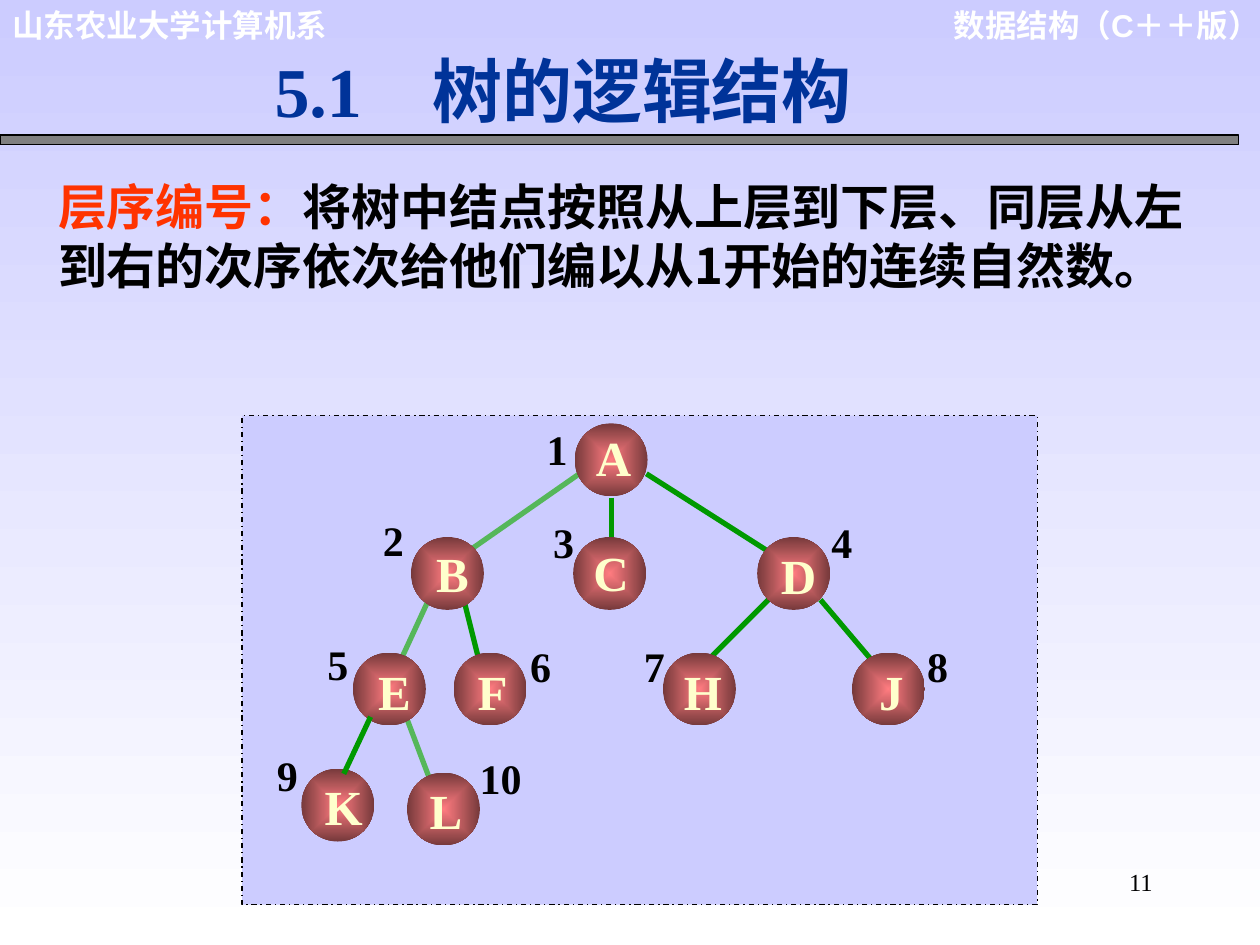
from lxml.etree import SubElement
from pptx import Presentation
from pptx.dml.color import RGBColor
from pptx.enum.dml import MSO_LINE
from pptx.enum.shapes import MSO_CONNECTOR, MSO_SHAPE
from pptx.enum.text import MSO_ANCHOR as Anchor, MSO_AUTO_SIZE as AutoSize, PP_ALIGN as Align
from pptx.oxml import parse_xml
from pptx.oxml.ns import nsdecls, qn
from pptx.util import Cm, Pt

LAVENDER = RGBColor(0xCC, 0xCC, 0xFF)
WHITE = RGBColor(0xFF, 0xFF, 0xFF)
BLACK = RGBColor(0, 0, 0)
GRAY = RGBColor(0x80, 0x80, 0x80)
NAVY = RGBColor(0, 0x33, 0x99)
RED = RGBColor(0xFF, 0x33, 0)
CREAM = RGBColor(0xFF, 0xFF, 0xCC)
PINK = RGBColor(0xFF, 0x7C, 0x80)
MAROON = RGBColor(0x76, 0x39, 0x3B)
GREEN = RGBColor(0, 0x99, 0)
LIGHT_GREEN = RGBColor(0x55, 0xB7, 0x5A)
CJK, SERIF = "Noto Sans CJK SC", "Times New Roman"


def write(box, runs, font_name, size, bold=True, align=Align.LEFT, anchor=Anchor.TOP, wrap=True):
    """Fill a box with one paragraph made of (text, colour) runs."""
    frame = box.text_frame
    frame.auto_size = AutoSize.NONE
    frame.word_wrap = wrap
    frame.vertical_anchor = anchor
    paragraph = frame.paragraphs[0]
    paragraph.alignment = align
    paragraph.space_before = Pt(0)
    for text, color in runs:
        run = paragraph.add_run()
        run.text = text
        for key, value in {"name": font_name, "size": Pt(size), "bold": bold}.items():
            setattr(run.font, key, value)
        run.font.color.rgb = color
        SubElement(run.font._element, qn("a:ea"), typeface=CJK)


def draw_edge(shapes, x1, y1, x2, y2, color):
    edge = shapes.add_connector(MSO_CONNECTOR.STRAIGHT, Cm(x1), Cm(y1), Cm(x2), Cm(y2))
    edge.line.color.rgb = color
    edge.line.width = Pt(3)
    SubElement(edge._element.spPr, qn("a:effectLst"))


prs = Presentation()
prs.slide_width, prs.slide_height = Cm(25.4), Cm(19.05)
slide = prs.slides.add_slide(prs.slide_layouts[1])

backdrop = slide.background.fill
backdrop.gradient()
backdrop.gradient_angle = 270
for stop, color in zip(backdrop.gradient_stops, (LAVENDER, WHITE)):
    stop.color.rgb = color

# Page furniture: course, department, rule and page number
for text, left, top, width, height, font_name, size, bold, color, align in (
    ("数据结构（C＋＋版）", 18.77, 0, 6.88, 1.78, "Arial", 18, True, WHITE, Align.RIGHT),
    ("山东农业大学计算机系", 0, 0, 6.88, 1.02, "Arial", 18, True, WHITE, Align.LEFT),
    ("11", 18.21, 17.35, 5.28, 1.27, SERIF, 14, False, BLACK, Align.RIGHT),
):
    label = slide.shapes.add_textbox(Cm(left), Cm(top), Cm(width), Cm(height))
    write(label, [(text, color)], font_name, size, bold, align)

rule = slide.shapes.add_shape(MSO_SHAPE.RECTANGLE, 0, Cm(2.72), Cm(24.97), Cm(0.2))
tree = slide.shapes.add_group_shape().shapes
frame = tree.add_shape(MSO_SHAPE.RECTANGLE, Cm(4.88), Cm(8.38), Cm(16.03), Cm(9.86))
for panel, color in ((rule, GRAY), (frame, LAVENDER)):
    panel.shadow.inherit = False
    panel.fill.solid()
    panel.fill.fore_color.rgb = color
    panel.line.color.rgb = BLACK
    panel.line.width = Pt(0.75)
frame.line.dash_style = MSO_LINE.DASH_DOT

# Tree edges behind the nodes
for edge in (
    (16.54, 12.09, 17.81, 13.59, GREEN),
    (15.49, 12.09, 14.22, 13.36, GREEN),
    (13.03, 9.55, 15.7, 11.25, GREEN),
    (11.68, 9.55, 9.53, 11.05, LIGHT_GREEN),
    (12.32, 10.03, 12.32, 10.87, GREEN),
    (9.35, 12.09, 9.73, 13.61, GREEN),
    (8.18, 14.43, 8.66, 15.7, LIGHT_GREEN),
    (8.64, 12.09, 8.1, 13.26, LIGHT_GREEN),
):
    draw_edge(tree, *edge)

# Nodes in level order: letter, centre, letter offset, corner of the number
nodes = (
    ("A", 12.32, 9.27, 0.05, -0.06, 10.77, 8.41),
    ("B", 9.02, 11.56, 0.1, -0.02, 7.47, 10.24),
    ("C", 12.29, 11.56, 0.03, -0.04, 10.9, 10.29),
    ("D", 16, 11.56, 0.1, 0.04, 16.51, 10.29),
    ("E", 7.85, 13.89, 0.1, 0.04, 6.35, 12.75),
    ("F", 9.88, 13.89, 0.05, 0.04, 10.44, 12.78),
    ("H", 14.1, 13.89, 0.07, 0.04, 12.73, 12.78),
    ("J", 17.91, 13.89, 0.06, 0.04, 18.44, 12.78),
    ("K", 6.81, 16.23, 0.12, 0.01, 5.33, 14.99),
    ("L", 8.94, 16.31, 0.05, 0.01, 9.42, 15.04),
)
DIAMETER, LETTER_W, LETTER_H = 1.47, 1.2, 1.45
numbering = slide.shapes.add_group_shape().shapes
for number, (letter, x, y, dx, dy, number_x, number_y) in enumerate(nodes, 1):
    node = tree.add_shape(MSO_SHAPE.OVAL, Cm(x - DIAMETER / 2), Cm(y - DIAMETER / 2),
                          Cm(DIAMETER), Cm(DIAMETER))
    node.shadow.inherit = False
    node.line.fill.background()
    node.fill.gradient()
    for stop, color in zip(node.fill.gradient_stops, (PINK, MAROON)):
        stop.color.rgb = color
    linear = node._element.spPr.find(qn("a:gradFill")).find(qn("a:lin"))
    linear.getparent().replace(linear, parse_xml(
        f'<a:path {nsdecls("a")} path="rect">'
        '<a:fillToRect l="50000" t="50000" r="50000" b="50000"/></a:path>'))

    caption = tree.add_textbox(Cm(x + dx - LETTER_W / 2), Cm(y + dy - LETTER_H / 2),
                               Cm(LETTER_W), Cm(LETTER_H))
    write(caption, [(letter, CREAM)], SERIF, 28, align=Align.CENTER,
          anchor=Anchor.MIDDLE, wrap=False)

    order = numbering.add_textbox(Cm(number_x), Cm(number_y),
                                  Cm(0.99 if number < 10 else 1.42), Cm(1.27))
    write(order, [(str(number), BLACK)], SERIF, 24)

# The edge from E to K lies over both nodes
draw_edge(tree, 7.47, 14.45, 6.93, 15.6, GREEN)

# Definition and title
definition = slide.placeholders[1]
definition.left, definition.top, definition.width, definition.height = (
    Cm(1.17), Cm(3.43), Cm(23.14), Cm(2.64))
definition.text_frame.margin_left = definition.text_frame.margin_right = 0
definition_props = definition.text_frame.paragraphs[0]._p.get_or_add_pPr()
definition_props.set("marL", "0")
definition_props.set("indent", "0")
SubElement(definition_props, qn("a:buNone"))
write(definition, [
    ("层序编号：", RED),
    ("将树中结点按照从上层到下层、同层从左到右的次序依次给他们编以从1开始的连续自然数。", BLACK),
], CJK, 28)

title = slide.shapes.title
title.left, title.top, title.width, title.height = Cm(5.28), Cm(0.84), Cm(12.27), Cm(1.96)
title_props = title.text_frame.paragraphs[0]._p.get_or_add_pPr()
tab_stops = SubElement(title_props, qn("a:tabLst"))
SubElement(tab_stops, qn("a:tab"), pos=str(Cm(3.18)), algn="l")
write(title, [("5.1\t树的逻辑结构", NAVY)], SERIF, 40)

prs.save("out.pptx")
